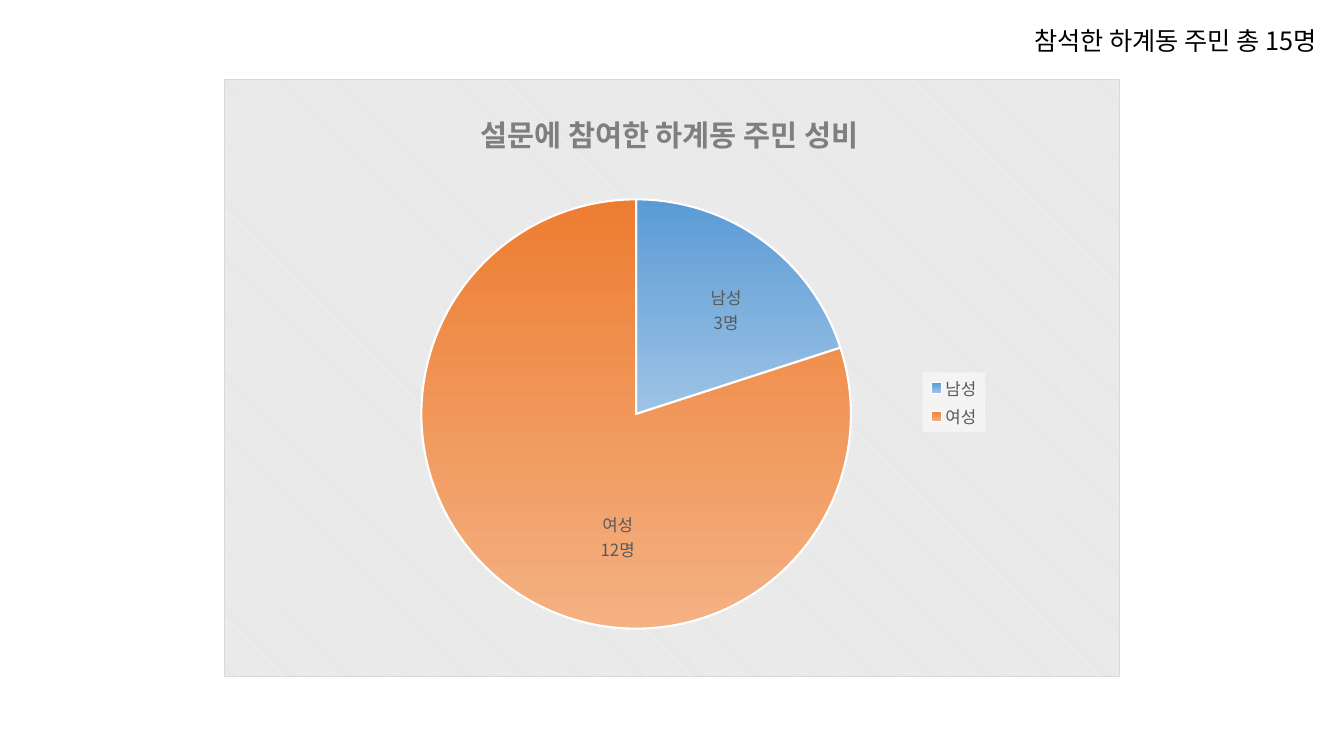
from dataclasses import dataclass

from lxml import etree
from pptx import Presentation
from pptx.chart.chart import Chart
from pptx.chart.data import CategoryChartData
from pptx.dml.color import RGBColor
from pptx.enum.chart import XL_CHART_TYPE, XL_LABEL_POSITION, XL_LEGEND_POSITION
from pptx.enum.text import MSO_ANCHOR, MSO_AUTO_SIZE, PP_ALIGN
from pptx.oxml import parse_xml
from pptx.oxml.ns import qn
from pptx.slide import Slide
from pptx.util import Pt

PIE = XL_CHART_TYPE.PIE
LABEL_CENTER = XL_LABEL_POSITION.CENTER
LEGEND_RIGHT = XL_LEGEND_POSITION.RIGHT
MIDDLE = MSO_ANCHOR.MIDDLE
NO_AUTOFIT = MSO_AUTO_SIZE.NONE
RIGHT = PP_ALIGN.RIGHT
TITLE_ONLY = 5
XMLNS = ('xmlns:c="http://schemas.openxmlformats.org/drawingml/2006/chart" '
         'xmlns:a="http://schemas.openxmlformats.org/drawingml/2006/main"')


@dataclass(frozen=True)
class Theme:
    font: str = "Noto Sans CJK KR"
    black: str = "000000"
    white: str = "FFFFFF"
    chart_title: str = "7F7F7F"
    label: str = "595959"
    backdrop: str = "E6E6E6"
    border: str = "D9D9D9"
    headline_size: float = 18
    chart_title_size: float = 21
    label_size: float = 12
    base_size: float = 10


@dataclass(frozen=True)
class Gender:
    name: str
    count: int
    top_color: str
    bottom_color: str
    label_shift: tuple[float, float]


THEME = Theme()
GENDERS = [
    Gender("남성", 3, "5B9BD5", "9DC3E6", (0.03, -0.03)),
    Gender("여성", 12, "ED7D31", "F4B183", (0.05, 0.06)),
]


def style_font(font, size: float, color: str, bold: bool = False) -> None:
    font.name = THEME.font
    font.size = Pt(size)
    font.bold = bold
    font.color.rgb = RGBColor.from_string(color)


def use_font_for_hangul(root) -> None:
    for latin in list(root.iter(qn("a:latin"))):
        hangul = etree.Element(qn("a:ea"))
        hangul.set("typeface", THEME.font)
        latin.addnext(hangul)


def layout_xml(edges: bool = True, **fractions: float):
    modes = '<c:xMode val="edge"/><c:yMode val="edge"/>' if edges else ""
    values = "".join(f'<c:{key} val="{value}"/>' for key, value in fractions.items())
    return parse_xml(f"<c:layout {XMLNS}><c:manualLayout>{modes}{values}"
                     "</c:manualLayout></c:layout>")


def place(part, layout, after: str = "") -> None:
    for old in part.findall(qn("c:layout")):
        part.remove(old)
    if after:
        part.find(qn(after)).addnext(layout)
    else:
        part.insert(0, layout)


def add_headline(slide: Slide) -> None:
    headline = slide.shapes.title
    headline.left, headline.top = Pt(705.6), Pt(14.4)
    headline.width, headline.height = Pt(242), Pt(29)
    frame = headline.text_frame
    frame.word_wrap = False
    frame.auto_size = NO_AUTOFIT
    frame.vertical_anchor = MIDDLE
    paragraph = frame.paragraphs[0]
    paragraph.alignment = RIGHT
    run = paragraph.add_run()
    run.text = "참석한 하계동 주민 총 15명"
    style_font(run.font, THEME.headline_size, THEME.black)


def add_chart_title(chart: Chart) -> None:
    chart.has_title = True
    run = chart.chart_title.text_frame.paragraphs[0].add_run()
    run.text = "설문에 참여한 하계동 주민 성비"
    style_font(run.font, THEME.chart_title_size, THEME.chart_title, bold=True)
    title_part = next(chart.element.iter(qn("c:title")))
    place(title_part, layout_xml(x=0.28, y=0.04), after="c:tx")


def add_legend(chart: Chart) -> None:
    chart.has_legend = True
    legend = chart.legend
    legend.position = LEGEND_RIGHT
    legend.include_in_layout = False
    style_font(legend.font, THEME.label_size, THEME.label)
    legend_part = next(chart.element.iter(qn("c:legend")))
    place(legend_part, layout_xml(x=0.78, y=0.49, w=0.07, h=0.1), after="c:legendPos")
    # Half-transparent panel
    legend_part.find(qn("c:overlay")).addnext(parse_xml(
        f'<c:spPr {XMLNS}><a:solidFill><a:srgbClr val="{THEME.white}">'
        '<a:alpha val="50000"/></a:srgbClr></a:solidFill></c:spPr>'))


def style_slice(point, gender: Gender) -> None:
    fill = point.format.fill
    fill.gradient()
    fill.gradient_angle = 270
    for stop, color, position in zip(
            fill.gradient_stops, (gender.top_color, gender.bottom_color), (0, 1)):
        stop.color.rgb = RGBColor.from_string(color)
        stop.position = position
    point.format.line.color.rgb = RGBColor.from_string(THEME.white)
    point.format.line.width = Pt(1.5)


def style_label(chart: Chart, point, index: int, gender: Gender) -> None:
    label = point.data_label
    style_font(label.font, THEME.label_size, THEME.label)
    label.position = LABEL_CENTER
    label_part = list(chart.element.iter(qn("c:dLbl")))[index]
    shift_x, shift_y = gender.label_shift
    place(label_part, layout_xml(edges=False, x=shift_x, y=shift_y), after="c:idx")
    label_part.find(qn("c:layout")).addnext(parse_xml(
        f"<c:numFmt {XMLNS} formatCode='0\"명\"' sourceLinked='0'/>"))
    label_part.find(qn("c:showCatName")).set("val", "1")
    label_part.append(parse_xml(f"<c:separator {XMLNS}>\n</c:separator>"))


def add_backdrop(chart: Chart) -> None:
    chart.element.find(qn("c:chart")).addnext(parse_xml(
        f'<c:spPr {XMLNS}><a:pattFill prst="dkDnDiag">'
        f'<a:fgClr><a:srgbClr val="{THEME.white}"/></a:fgClr>'
        f'<a:bgClr><a:srgbClr val="{THEME.backdrop}"/></a:bgClr></a:pattFill>'
        f'<a:ln w="{Pt(0.75)}"><a:solidFill><a:srgbClr val="{THEME.border}"/>'
        '</a:solidFill></a:ln></c:spPr>'))


def add_gender_chart(slide: Slide) -> None:
    data = CategoryChartData()
    data.categories = [gender.name for gender in GENDERS]
    data.add_series("Series 1", [gender.count for gender in GENDERS])
    chart = slide.shapes.add_chart(
        PIE, Pt(160), Pt(56.7), Pt(640), Pt(427), data).chart
    style_font(chart.font, THEME.base_size, THEME.black)
    add_chart_title(chart)
    add_legend(chart)
    add_backdrop(chart)

    # Pie slices and their labels
    plot = chart.plots[0]
    plot.vary_by_categories = True
    points = plot.series[0].points
    for index, gender in enumerate(GENDERS):
        style_slice(points[index], gender)
        style_label(chart, points[index], index, gender)

    # Pie position
    pie_layout = layout_xml(x=0.22, y=0.2, w=0.48, h=0.72)
    pie_layout[0].insert(0, parse_xml(f'<c:layoutTarget {XMLNS} val="inner"/>'))
    place(next(chart.element.iter(qn("c:plotArea"))), pie_layout)
    use_font_for_hangul(chart.element)


def main() -> None:
    deck = Presentation()
    deck.slide_width, deck.slide_height = Pt(960), Pt(540)
    slide = deck.slides.add_slide(deck.slide_layouts[TITLE_ONLY])
    add_gender_chart(slide)
    add_headline(slide)
    use_font_for_hangul(slide.element)
    deck.save("out.pptx")


if __name__ == "__main__":
    main()
